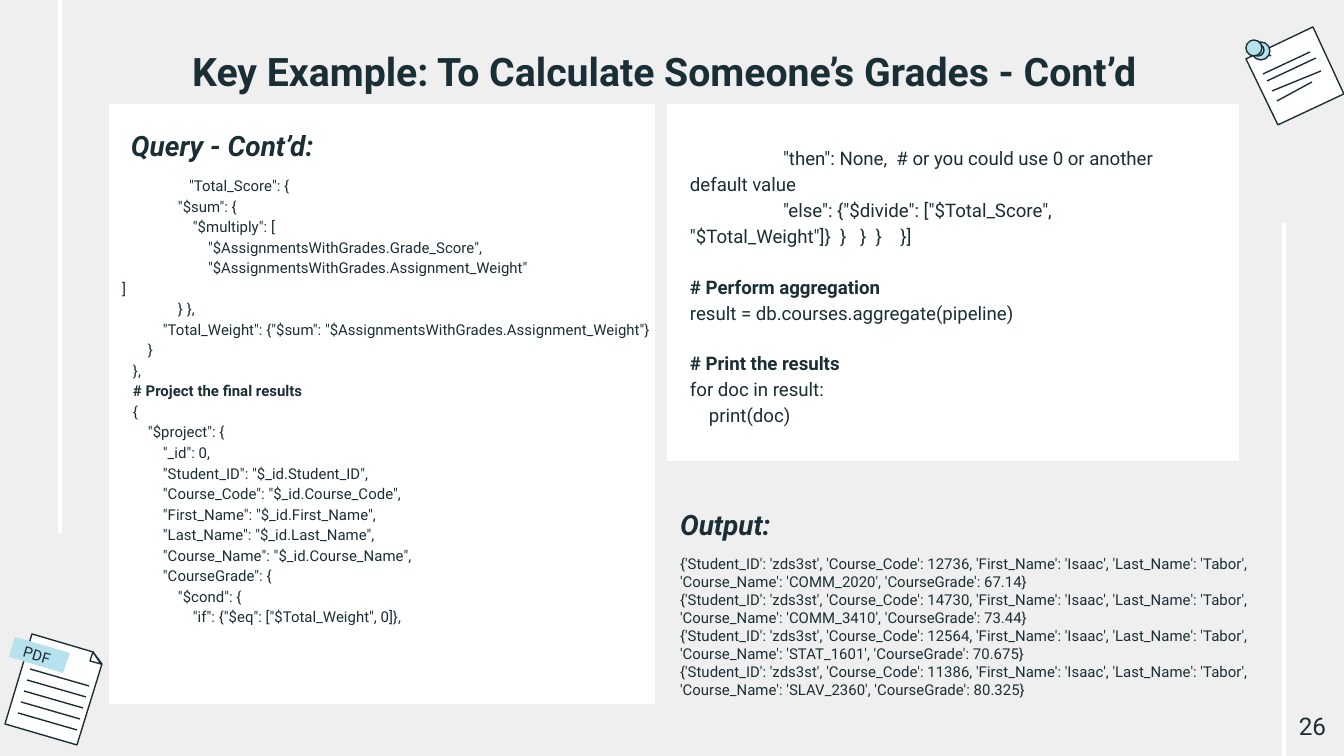
from pptx import Presentation
from pptx.dml.color import RGBColor as Rgb
from pptx.enum.shapes import MSO_CONNECTOR as Conn, MSO_SHAPE as Kind
from pptx.enum.text import MSO_ANCHOR as Anchor, PP_ALIGN as Align
from pptx.oxml.ns import qn
from pptx.util import Pt
from lxml import etree

PX = 914400 / 134.4  # EMU per px
COL = {"back": "EFEFEF", "ink": "1A2E35", "white": "FFFFFF", "blue": "B6E1EE"}
FONT = "Roboto"

# Content: code lines are (first-line indent in px, text)
TITLE = "Key Example: To Calculate Someone’s Grades - Cont’d"
QUERY = [
    (71, '"Total_Score": {'),
    (60, '"$sum": {'),
    (75, '"$multiply": ['),
    (90, '"$AssignmentsWithGrades.Grade_Score",'),
    (90, '"$AssignmentsWithGrades.Assignment_Weight"'),
    (4, ']'),
    (60, '} },'),
    (45, '"Total_Weight": {"$sum": "$AssignmentsWithGrades.Assignment_Weight"}'),
    (30, '}'),
    (15, '},'),
    (15, '# Project the final results'),
    (15, '{'),
    (30, '"$project": {'),
    (45, '"_id": 0,'),
    (45, '"Student_ID": "$_id.Student_ID",'),
    (45, '"Course_Code": "$_id.Course_Code",'),
    (45, '"First_Name": "$_id.First_Name",'),
    (45, '"Last_Name": "$_id.Last_Name",'),
    (45, '"Course_Name": "$_id.Course_Name",'),
    (45, '"CourseGrade": {'),
    (60, '"$cond": {'),
    (75, '"if": {"$eq": ["$Total_Weight", 0]},'),
]
REST = [
    (93, '"then": None,  # or you could use 0 or another default value'),
    (93, '"else": {"$divide": ["$Total_Score", "$Total_Weight"]}  }   }  }    }]'),
    (0, '# Perform aggregation'),
    (0, 'result = db.courses.aggregate(pipeline)'),
    (0, '# Print the results'),
    (0, 'for doc in result:'),
    (19, 'print(doc)'),
]
GRADES = [(12736, "COMM_2020", 67.14), (14730, "COMM_3410", 73.44),
          (12564, "STAT_1601", 70.675), (11386, "SLAV_2360", 80.325)]
OUTPUT = [(0, f"{{'Student_ID': 'zds3st', 'Course_Code': {code}, 'First_Name': 'Isaac', "
              f"'Last_Name': 'Tabor', 'Course_Name': '{name}', 'CourseGrade': {grade}}}")
          for code, name, grade in GRADES]

# Icons, in px
PAGE = [(32, 634), (93, 652), (102, 664), (77, 745), (5, 724)]
FOLD = [(93, 652), (90, 661), (101, 664)]
LABEL = [(15, 637), (9, 657), (63, 673), (70, 653)]
NOTE = [(1246, 59), (1313, 27), (1344, 94), (1278, 125)]
RULES = [(30 - 3 * i, 669 + 11 * i, 89 - 3 * i, 686 + 11 * i) for i in range(5)]
NOTES = [(1263, 74, 1310, 52), (1267, 81, 1316, 58),
         (1272, 91, 1321, 71), (1277, 101, 1312, 82)]
NEEDLE = (1266, 53, 1271, 56)
PIN = [(1261, 51, 9), (1258, 50, 6), (1254, 48, 8)]  # centre, radius


def emu(*px):
    return [round(v * PX) for v in px]


def rgb(name):
    return Rgb.from_string(COL[name])


def paint(shape, fill, line=None):
    shape.shadow.inherit = False
    shape.fill.solid()
    shape.fill.fore_color.rgb = rgb(fill)
    if line:
        shape.line.color.rgb = rgb(line)
        shape.line.width = Pt(0.75)
    else:
        shape.line.fill.background()


def poly(points, fill, line=None):
    pen = shapes.build_freeform(*points[0], scale=PX)
    pen.add_line_segments(points[1:], close=True)
    paint(pen.convert_to_shape(), fill, line)


def stroke(ends, color="ink", width=0.75):
    line = shapes.add_connector(Conn.STRAIGHT, *emu(*ends))
    line.line.color.rgb = rgb(color)
    line.line.width = Pt(width)
    etree.SubElement(line._element.spPr, qn("a:effectLst"))


def text(lines, box, size, bold=False, italic=False, align=Align.LEFT,
         space=1.0, inset=13, turn=0, anchor=Anchor.TOP, gap=0):
    """Lines are a string or (indent, text) pairs; # lines are bold, after a gap."""
    shape = shapes.add_textbox(*emu(*box))
    shape.rotation = turn
    frame = shape.text_frame
    frame.word_wrap = True
    frame.vertical_anchor = anchor
    pad, = emu(inset)
    frame.margin_left = frame.margin_right = pad
    frame.margin_top = frame.margin_bottom = pad
    pairs = [(0, lines)] if isinstance(lines, str) else lines
    for i, (indent, words) in enumerate(pairs):
        para = frame.paragraphs[0] if i == 0 else frame.add_paragraph()
        para.alignment = align
        para.line_spacing = space
        head = words.startswith("#")
        para.space_before = Pt(gap if head else 0)
        if indent:
            props = para._p.get_or_add_pPr()
            props.set("marL", "0")
            props.set("indent", str(*emu(indent)))
        run = para.add_run()
        run.text = words
        font = run.font
        font.name, font.size = FONT, Pt(size)
        font.bold, font.italic = bold or head, italic
        font.color.rgb = rgb("ink")


deck = Presentation()
deck.slide_width, deck.slide_height = emu(1344, 756)
slide = deck.slides.add_slide(deck.slide_layouts[6])
slide.background.fill.solid()
slide.background.fill.fore_color.rgb = rgb("back")
shapes = slide.shapes

# Document icon
poly(PAGE, "white", "ink")
poly(FOLD, "white", "ink")
poly(LABEL, "blue")
for rule in RULES:
    stroke(rule)
text("PDF", (12, 643, 50, 24), 8, align=Align.CENTER, inset=0, turn=16.3,
     anchor=Anchor.MIDDLE)

# Pinned note
poly(NOTE, "white", "ink")
for rule in NOTES + [NEEDLE]:
    stroke(rule)
for x, y, r in PIN:
    dot = shapes.add_shape(Kind.OVAL, *emu(x - r, y - r, 2 * r, 2 * r))
    paint(dot, "blue", "ink")

# Side lines and white panels
stroke((60, 0, 60, 533), "white", 2.25)
stroke((1284, 223, 1284, 756), "white", 2.25)
for box in [(667, 104, 572, 357), (109, 104, 546, 600)]:
    paint(shapes.add_shape(Kind.RECTANGLE, *emu(*box)), "white")

# Text
text(TITLE, (98, 34, 1133, 73), 21, bold=True, align=Align.CENTER)
text("Query - Cont’d:", (118, 116, 227, 46), 15, bold=True, italic=True)
text(QUERY, (105, 161, 591, 480), 8, space=1.15)
text(REST, (677, 131, 493, 320), 10, space=1.15, gap=13.5)
text("Output:", (667, 495, 282, 46), 15, bold=True, italic=True)
text(OUTPUT, (667, 542, 673, 170), 8)
text("26", (1258, 698, 81, 58), 13, align=Align.RIGHT)

deck.save("out.pptx")
